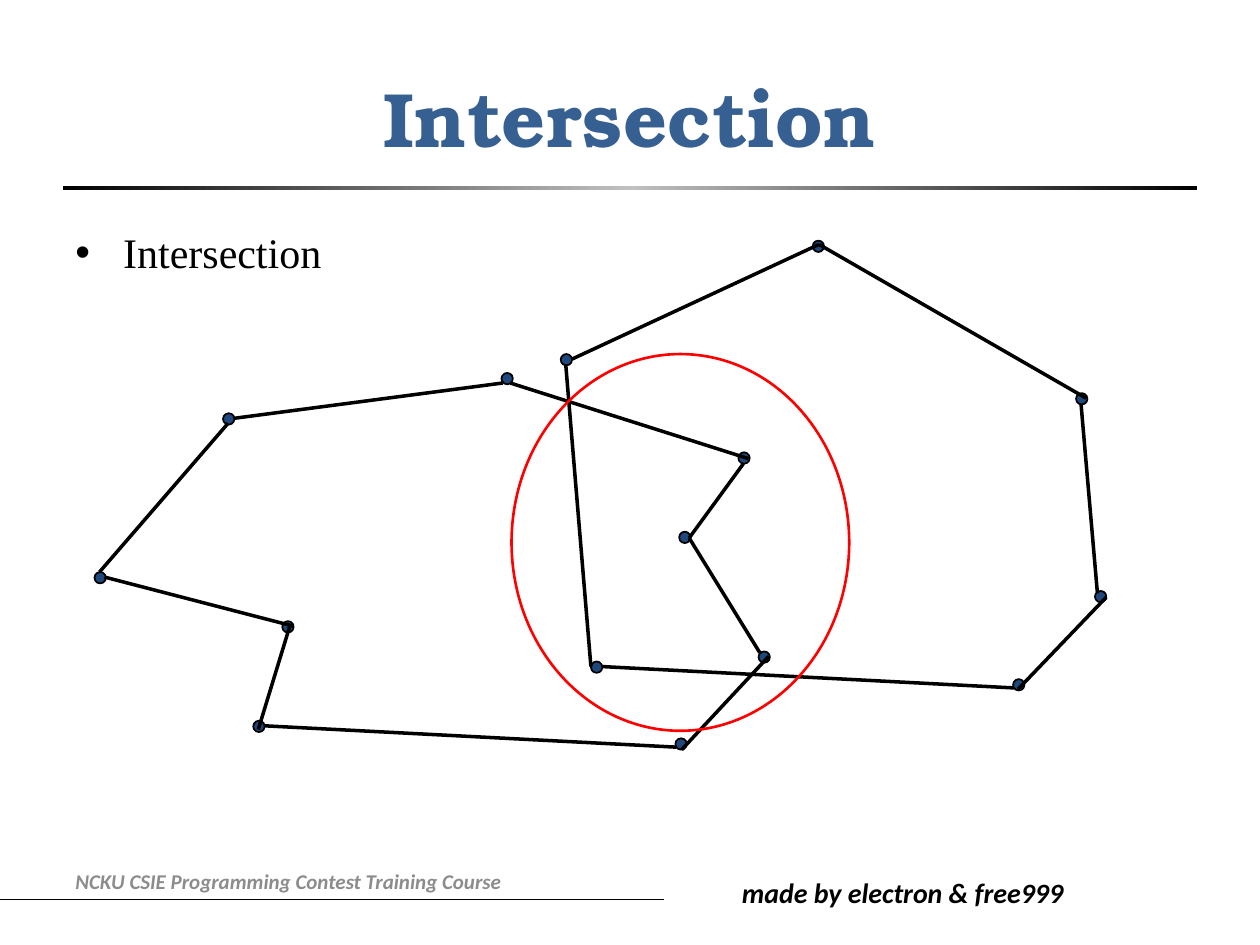
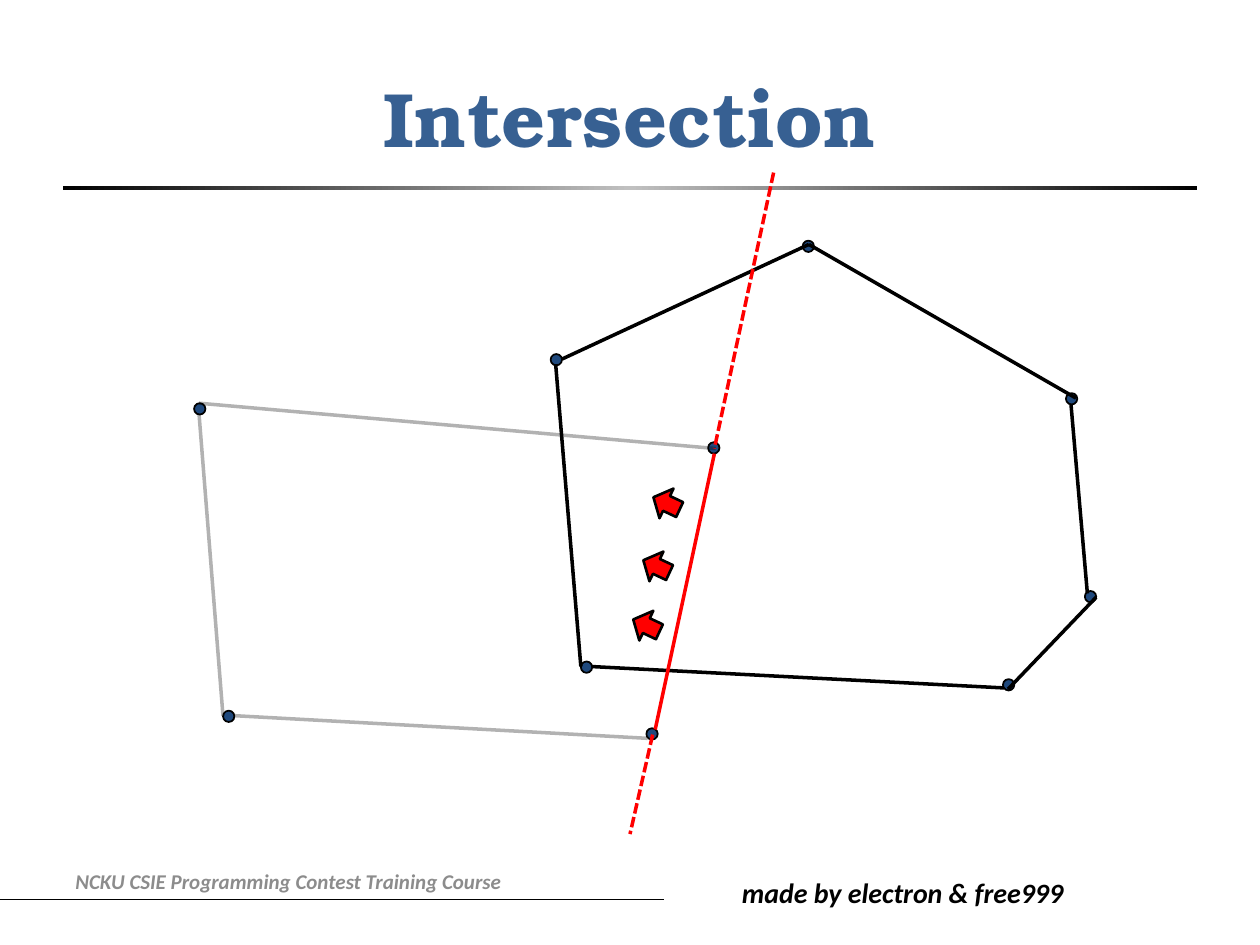
from copy import deepcopy
from dataclasses import dataclass
from typing import Any, NamedTuple, Optional

from lxml.etree import SubElement
from pptx import Presentation
from pptx.dml.color import RGBColor
from pptx.enum.dml import MSO_LINE
from pptx.enum.shapes import MSO_CONNECTOR, MSO_SHAPE
from pptx.enum.text import MSO_ANCHOR, PP_ALIGN
from pptx.oxml.ns import qn
from pptx.util import Inches, Pt


@dataclass(frozen=True)
class Theme:
    ink: RGBColor = RGBColor.from_string("000000")
    silver: RGBColor = RGBColor.from_string("C0C0C0")
    title: RGBColor = RGBColor.from_string("376092")
    footer: RGBColor = RGBColor.from_string("8C8C8C")
    dot: RGBColor = RGBColor.from_string("1F497D")
    accent: RGBColor = RGBColor.from_string("FF0000")
    title_size: Pt = Pt(44)
    body_size: Pt = Pt(24)
    credit_size: Pt = Pt(16)
    footer_size: Pt = Pt(12)
    title_font: str = "TeX Gyre Bonum"
    body_font: str = "Times New Roman"
    footer_font: str = "Calibri"
    hairline: Pt = Pt(0.5)
    dot_line: Pt = Pt(1)
    outline: Pt = Pt(1.5)
    edge_line: Pt = Pt(2)


THEME = Theme()


class Area(NamedTuple):
    left: float
    top: float
    width: float
    height: float


class Point(NamedTuple):
    x: float
    y: float


class Edge(NamedTuple):
    start: Point
    end: Point
    color: RGBColor = THEME.ink
    width: Pt = THEME.edge_line
    dash: Optional[MSO_LINE] = None
    opacity: int = 100


class Label(NamedTuple):
    text: str
    area: Area
    font: dict[str, Any]
    color: RGBColor
    frame: dict[str, Any] = {}
    para: dict[str, Any] = {}


class Polygon(NamedTuple):
    """The base lies behind the dots (given by their top left corners), the sides in front."""
    base: Edge
    dots: list[Point]
    sides: list[Edge]


def edges(*ends: tuple[float, float, float, float], **style: Any) -> list[Edge]:
    return [Edge(Point(x1, y1), Point(x2, y2), **style) for x1, y1, x2, y2 in ends]


def points(*places: tuple[float, float]) -> list[Point]:
    return [Point(*place) for place in places]


DOT_SIZE = 0.09
HEXAGON_SHIFT = -0.08
FADED = {"opacity": 30}
DASHED = {"color": THEME.accent, "dash": MSO_LINE.SQUARE_DOT}

TITLE_AREA = Area(0.5, 0.3, 9, 1.25)
BAND_AREA = Area(0.5, 1.48, 9, 0.03)
FOOTER_RULE = edges((0, 7.14, 5.27, 7.14), width=THEME.hairline)[0]
OVERLAP_AREA = Area(4.06, 2.81, 2.68, 2.99)
ARROW_AREAS = [Area(left, top, 0.26, 0.23)
               for left, top in ((5, 4.85), (5.08, 4.38), (5.16, 3.88))]

TITLE = Label(
    "Intersection", TITLE_AREA,
    {"name": THEME.title_font, "size": THEME.title_size, "bold": True}, THEME.title,
    {"vertical_anchor": MSO_ANCHOR.MIDDLE}, {"alignment": PP_ALIGN.CENTER})
BULLET = Label(
    "Intersection", Area(0.5, 1.75, 9, 4.95),
    {"name": THEME.body_font, "size": THEME.body_size}, THEME.ink,
    para={"alignment": PP_ALIGN.JUSTIFY, "space_before": Pt(4.8)})
FOOTERS = [
    Label("made by electron & free999", Area(5.79, 6.9, 3.04, 0.37),
          {"name": THEME.footer_font, "size": THEME.credit_size,
           "bold": True, "italic": True}, THEME.ink),
    Label("NCKU CSIE Programming Contest Training Course", Area(0.5, 6.79, 4.66, 0.4),
          {"name": THEME.footer_font, "size": THEME.footer_size,
           "bold": True, "italic": True}, THEME.footer,
          {"vertical_anchor": MSO_ANCHOR.MIDDLE}),
]

NONAGON = Polygon(
    edges((2.09, 5.76, 5.37, 5.93))[0],
    points((5.36, 5.86), (6.02, 5.17), (5.39, 4.22), (5.86, 3.59), (3.98, 2.96),
           (1.77, 3.28), (0.75, 4.54), (2.01, 5.72), (2.24, 4.93)),
    edges((6.1, 5.21, 5.41, 5.95), (5.47, 4.27, 6.03, 5.18), (5.9, 3.68, 5.47, 4.27),
          (4.05, 3.04, 5.94, 3.64), (1.86, 3.32, 3.99, 3.04), (1.81, 3.36, 0.79, 4.54),
          (0.83, 4.58, 2.33, 4.97), (2.05, 5.79, 2.3, 4.97)))
HEXAGON = Polygon(
    edges((4.77, 5.29, 8.05, 5.46))[0],
    points((8.04, 5.39), (8.69, 4.69), (8.54, 3.12),
           (6.45, 1.91), (4.45, 2.81), (4.69, 5.25)),
    edges((8.78, 4.74, 8.08, 5.47), (8.58, 3.21, 8.71, 4.71), (6.5, 1.94, 8.62, 3.16),
          (4.54, 2.85, 6.5, 1.94), (4.49, 2.89, 4.69, 5.29)))
CLIPPED = Polygon(
    edges((1.86, 5.68, 5.14, 5.86), **FADED)[0],
    points((5.13, 5.78), (5.62, 3.51), (1.54, 3.2), (1.77, 5.64)),
    edges((5.67, 3.6, 5.2, 5.79), color=THEME.accent)
    + edges((1.58, 3.29, 1.77, 5.68), (5.68, 3.56, 1.58, 3.2), **FADED))
CUT_EXTENSIONS = edges((6.14, 1.37, 5.67, 3.56), (5.18, 5.83, 5, 6.62), **DASHED)


def apply(target: Any, values: dict[str, Any]) -> None:
    for name, value in values.items():
        setattr(target, name, value)


def inches(values: tuple[float, ...]) -> list[Inches]:
    return [Inches(value) for value in values]


def write(box: Any, label: Label) -> Any:
    """Fill a text holder with one formatted paragraph, which is returned."""
    apply(box, dict(zip(Area._fields, inches(label.area))))
    frame = box.text_frame
    apply(frame, {"word_wrap": True, **label.frame})
    para = frame.paragraphs[0]
    apply(para, label.para)
    span = para.add_run()
    span.text = label.text
    apply(span.font, label.font)
    span.font.color.rgb = label.color
    return para


def add_label(page: Any, label: Label) -> Any:
    return write(page.shapes.add_textbox(*inches(label.area)), label)


def add_bullet(page: Any, label: Label) -> None:
    properties = add_label(page, label)._p.get_or_add_pPr()
    properties.set("marL", str(Inches(0.38)))
    properties.set("indent", str(Inches(-0.38)))
    SubElement(properties, qn("a:buFont")).set("typeface", "Arial")
    SubElement(properties, qn("a:buChar")).set("char", "•")


def add_edge(shapes: Any, edge: Edge, shift: float = 0) -> None:
    connector = shapes.add_connector(
        MSO_CONNECTOR.STRAIGHT,
        *inches((edge.start.x + shift, edge.start.y, edge.end.x + shift, edge.end.y)))
    line = connector.line
    line.color.rgb = edge.color
    line.width = edge.width
    if edge.dash:
        line.dash_style = edge.dash
    properties = connector._element.spPr
    if edge.opacity < 100:
        color = properties.find(".//" + qn("a:srgbClr"))
        SubElement(color, qn("a:alpha")).set("val", str(edge.opacity * 1000))
    SubElement(properties, qn("a:effectLst"))


def add_figure(shapes: Any, kind: MSO_SHAPE, area: Area, fill: Optional[RGBColor],
               line: RGBColor, width: Pt) -> Any:
    shape = shapes.add_shape(kind, *inches(area))
    shape.shadow.inherit = False
    if fill is None:
        shape.fill.background()
    else:
        shape.fill.solid()
        shape.fill.fore_color.rgb = fill
    shape.line.color.rgb = line
    shape.line.width = width
    return shape


def add_polygon(page: Any, polygon: Polygon, shift: float = 0) -> None:
    shapes = page.shapes.add_group_shape().shapes
    add_edge(shapes, polygon.base, shift)
    for dot in polygon.dots:
        add_figure(shapes, MSO_SHAPE.OVAL, Area(dot.x + shift, dot.y, DOT_SIZE, DOT_SIZE),
                   THEME.dot, THEME.ink, THEME.dot_line)
    for side in polygon.sides:
        add_edge(shapes, side, shift)


def add_band(page: Any) -> None:
    """Draw the rule under the title, fading to silver in the middle."""
    band = page.shapes.add_shape(MSO_SHAPE.RECTANGLE, *inches(BAND_AREA))
    band.shadow.inherit = False
    band.line.fill.background()
    band.fill.gradient()
    band.fill.gradient_angle = 0
    stops = band._element.spPr.find(".//" + qn("a:gsLst"))
    stops.append(deepcopy(stops[-1]))
    for stop, position, color in zip(band.fill.gradient_stops, (0, 0.5, 1),
                                     (THEME.ink, THEME.silver, THEME.ink)):
        stop.position = position
        stop.color.rgb = color


def add_page(deck: Any) -> Any:
    page = deck.slides.add_slide(deck.slide_layouts.get_by_name("Title Only"))
    add_edge(page.shapes, FOOTER_RULE)
    add_band(page)
    write(page.shapes.title, TITLE)
    for footer in FOOTERS:
        add_label(page, footer)
    return page


def add_overlap_page(deck: Any) -> None:
    page = add_page(deck)
    add_bullet(page, BULLET)
    add_polygon(page, NONAGON)
    add_polygon(page, HEXAGON)
    add_figure(page.shapes, MSO_SHAPE.OVAL, OVERLAP_AREA, None, THEME.accent, THEME.outline)


def add_cut_page(deck: Any) -> None:
    page = add_page(deck)
    add_polygon(page, HEXAGON, HEXAGON_SHIFT)
    add_polygon(page, CLIPPED)
    for area in ARROW_AREAS:
        arrow = add_figure(page.shapes, MSO_SHAPE.UP_ARROW, area,
                           THEME.accent, THEME.ink, THEME.outline)
        arrow.rotation = 295.2
    for extension in CUT_EXTENSIONS:
        add_edge(page.shapes, extension)


def main() -> None:
    deck = Presentation()
    apply(deck, {"slide_width": Inches(10), "slide_height": Inches(7.5)})
    add_overlap_page(deck)
    add_cut_page(deck)
    deck.save("out.pptx")


if __name__ == "__main__":
    main()
